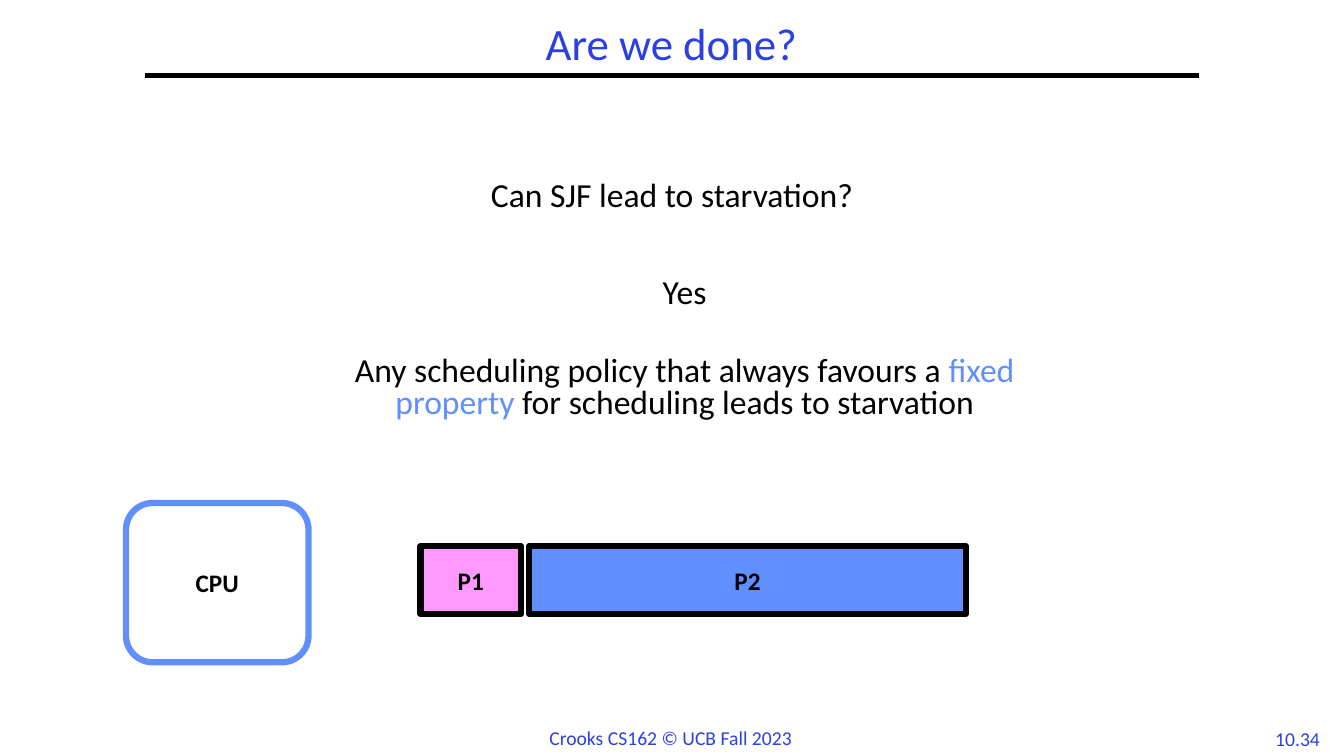
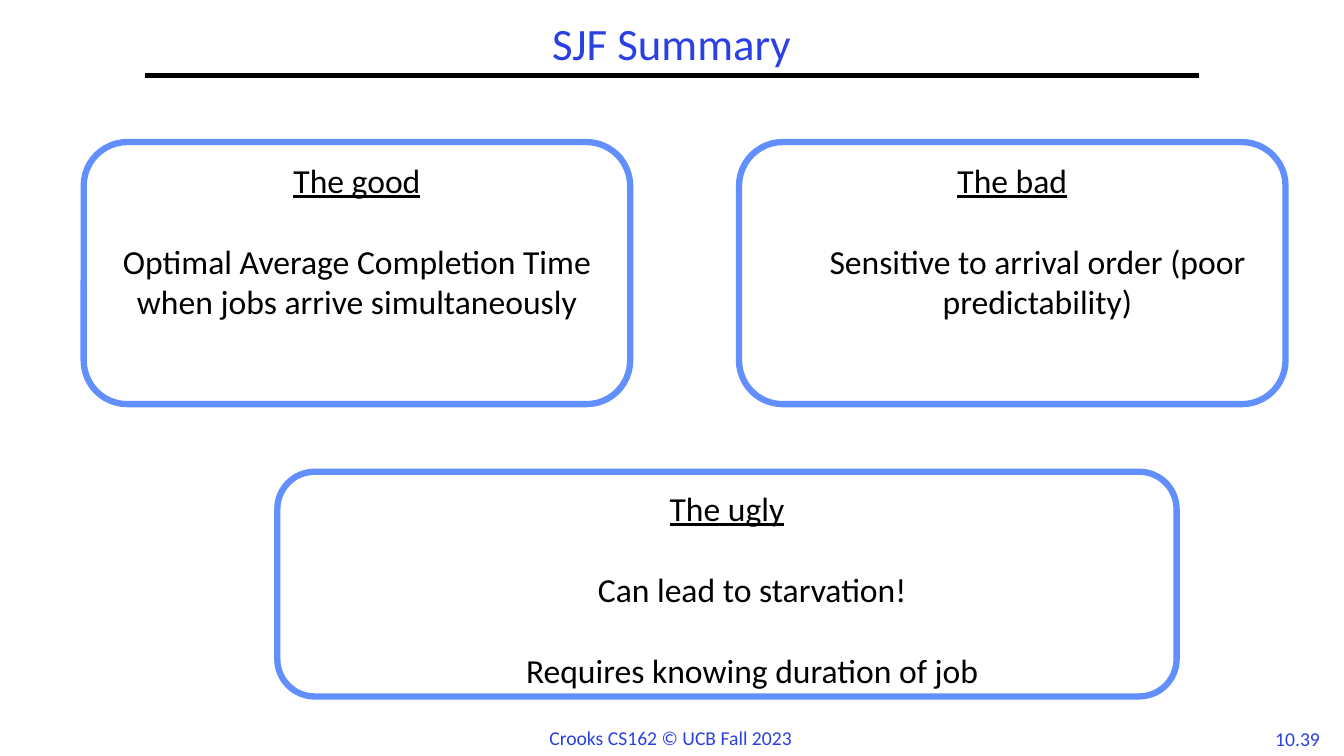
from dataclasses import dataclass

from lxml import etree
from pptx import Presentation
from pptx import util as u
from pptx.dml import color
from pptx.enum import shapes, text
from pptx.oxml import ns

COLORS = {
    "title": "2A40E2",
    "ink": "000000",
    "paper": "FFFFFF",
    "accent": "618FFD",
    "pink": "FF99FF",
}
FONT = "Calibri"
BODY_SIZE = 24
RECT = shapes.MSO_SHAPE.RECTANGLE
ROUNDED = shapes.MSO_SHAPE.ROUNDED_RECTANGLE


@dataclass(frozen=True)
class Area:
    left: float
    top: float
    width: float
    height: float

    def lengths(self) -> tuple:
        return tuple(u.Inches(n) for n in (self.left, self.top, self.width, self.height))


@dataclass(frozen=True)
class Line:
    words: str
    size: int = BODY_SIZE
    color: str = "ink"
    bold: bool = False
    underline: bool = False
    before: float = 0
    spacing: float = 1.0
    indent: float = 0
    centered: bool = True
    highlight: str = ""


@dataclass(frozen=True)
class Box:
    area: Area
    lines: tuple
    kind: int = ROUNDED
    fill: str = "paper"
    border: str = "accent"
    anchor: int = text.MSO_ANCHOR.TOP


def rgb(name: str) -> color.RGBColor:
    return color.RGBColor.from_string(COLORS[name])


def split_highlight(line: Line) -> list:
    if not line.highlight:
        return [(line.words, line.color)]
    lead, tail = line.words.split(line.highlight)
    return [(lead, line.color), (line.highlight, "accent"), (tail, line.color)]


def write_lines(frame, lines: tuple, wrap: bool = True) -> None:
    frame.word_wrap = wrap
    for index, line in enumerate(lines):
        paragraph = frame.add_paragraph() if index else frame.paragraphs[0]
        align = text.PP_ALIGN
        paragraph.alignment = align.CENTER if line.centered else align.LEFT
        paragraph.line_spacing = line.spacing
        paragraph.space_before = u.Pt(line.before)
        if line.indent:
            properties = paragraph._p.get_or_add_pPr()
            properties.set("marL", str(u.Inches(line.indent)))
            properties.set("indent", "0")
        for words, run_color in split_highlight(line):
            run = paragraph.add_run()
            run.text = words
            run.font.name = FONT
            run.font.size = u.Pt(line.size)
            run.font.bold = line.bold
            run.font.underline = line.underline
            run.font.color.rgb = rgb(run_color)


def add_label(slide, area: Area, *lines: Line, wrap: bool = True) -> None:
    write_lines(slide.shapes.add_textbox(*area.lengths()).text_frame, lines, wrap)


def add_box(slide, box: Box) -> None:
    shape = slide.shapes.add_shape(box.kind, *box.area.lengths())
    shape.shadow.inherit = False
    shape.fill.solid()
    shape.fill.fore_color.rgb = rgb(box.fill)
    shape.line.color.rgb = rgb(box.border)
    shape.line.width = u.Pt(4.5)
    shape.text_frame.vertical_anchor = box.anchor
    write_lines(shape.text_frame, box.lines)


def add_title_rule(slide) -> None:
    left, right, top = u.Inches(1.44), u.Inches(11.89), u.Inches(0.75)
    rule = slide.shapes.add_connector(shapes.MSO_CONNECTOR.STRAIGHT, left, top, right, top)
    rule.line.color.rgb = rgb("ink")
    rule.line.width = u.Pt(3)
    etree.SubElement(rule._element.spPr, ns.qn("a:effectLst"))


def add_lecture_slide(deck, heading: str, number: str):
    slide = deck.slides.add_slide(deck.slide_layouts[5])
    title = slide.shapes.title
    title.left, title.top, title.width, title.height = Area(1.44, 0.17, 10.44, 0.58).lengths()
    title.text_frame.auto_size = text.MSO_AUTO_SIZE.NONE
    title.text_frame.vertical_anchor = text.MSO_ANCHOR.MIDDLE
    write_lines(title.text_frame, (Line(heading, 32, "title", spacing=0.9),))
    add_title_rule(slide)
    add_label(slide, Area(12.53, 7.16, 0.68, 0.33), Line(number, 14, "title"), wrap=False)
    add_label(
        slide,
        Area(5.35, 7.15, 2.63, 0.34),
        Line("Crooks CS162 © UCB Fall 2023", 14, "title", centered=False),
        wrap=False,
    )
    return slide


def process_box(name: str, area: Area, **style) -> Box:
    return Box(area, (Line(name, 18, bold=True),), anchor=text.MSO_ANCHOR.MIDDLE, **style)


def summary_card(area: Area, heading: str, *points: str, indent: float = 0) -> Box:
    body = tuple(Line(point, before=29, indent=indent) for point in points)
    return Box(area, (Line(heading, underline=True), *body))


def build_starvation(deck) -> None:
    slide = add_lecture_slide(deck, "Are we done?", "10.34")
    add_label(
        slide,
        Area(0, 1.75, 13.33, 0.58),
        Line("Can SJF lead to starvation?", spacing=0.8),
    )
    add_label(
        slide,
        Area(3.33, 2.72, 6.92, 0.58),
        Line("Yes", spacing=0.8),
        Line(
            "Any scheduling policy that always favours a fixed property for scheduling "
            "leads to starvation",
            before=32,
            spacing=0.8,
            highlight="fixed property",
        ),
    )
    for box in (
        process_box("CPU", Area(1.25, 4.99, 1.81, 1.58)),
        process_box("P2", Area(5.25, 5.42, 4.33, 0.67), kind=RECT, fill="accent", border="ink"),
        process_box("P1", Area(4.17, 5.42, 1, 0.67), kind=RECT, fill="pink", border="ink"),
    ):
        add_box(slide, box)


def build_summary(deck) -> None:
    slide = add_lecture_slide(deck, "SJF Summary", "10.39")
    for card in (
        summary_card(
            Area(0.83, 1.41, 5.42, 2.6),
            "The good",
            "Optimal Average Completion Time when jobs arrive simultaneously",
        ),
        summary_card(
            Area(7.33, 1.41, 5.42, 2.6),
            "The bad",
            "Sensitive to arrival order (poor predictability)",
            indent=0.5,
        ),
        summary_card(
            Area(2.75, 4.68, 8.92, 2.23),
            "The ugly",
            "Can lead to starvation!",
            "Requires knowing duration of job",
            indent=0.5,
        ),
    ):
        add_box(slide, card)


def main() -> None:
    deck = Presentation()
    deck.slide_width, deck.slide_height = u.Inches(13.33), u.Inches(7.5)
    build_starvation(deck)
    build_summary(deck)
    deck.save("out.pptx")


if __name__ == "__main__":
    main()
